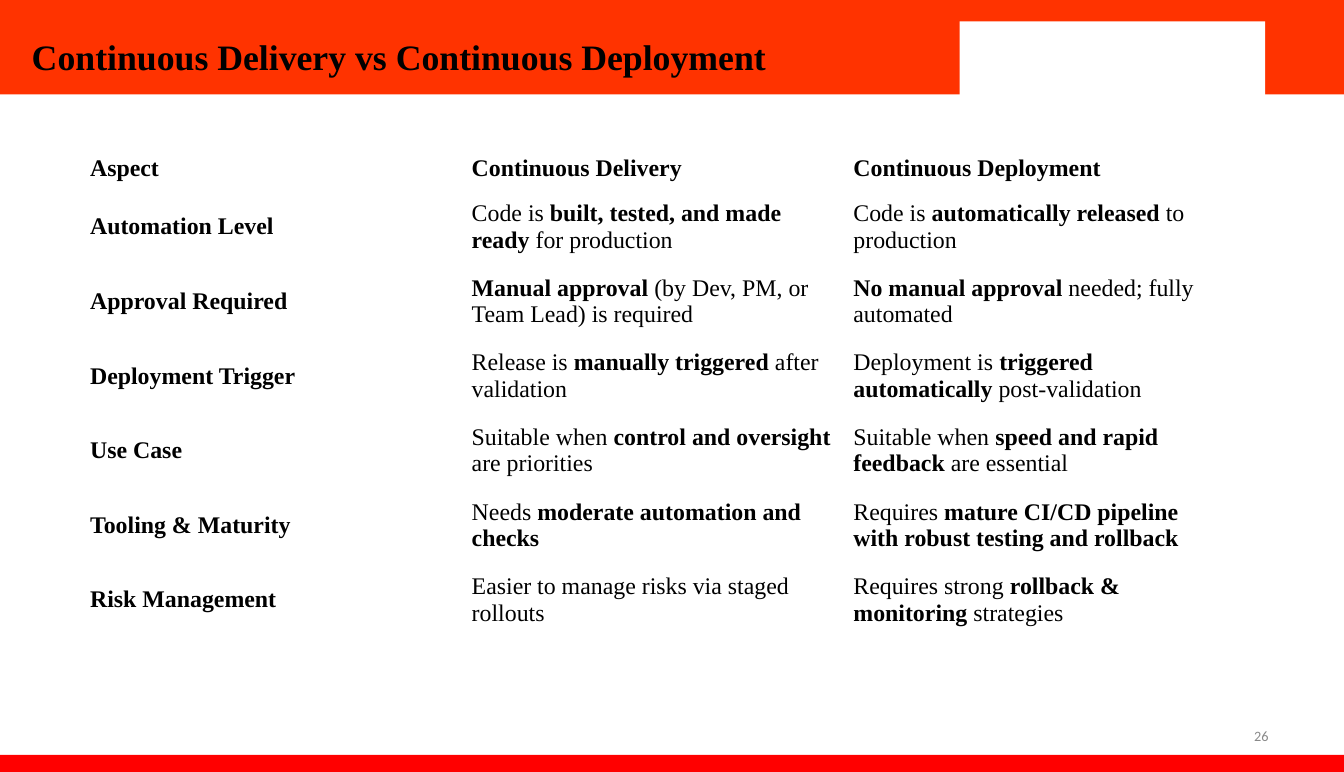
from pptx import Presentation
from pptx import util as u
from pptx.dml.color import RGBColor
from pptx.enum import shapes, text

SCALE = 9144
ROWS = [
    ("**Aspect**", "**Continuous Delivery**", "**Continuous Deployment**"),
    ("**Automation Level**",
     "Code is **built, tested, and made ready** for production",
     "Code is **automatically released** to production"),
    ("**Approval Required**",
     "**Manual approval** (by Dev, PM, or Team Lead) is required",
     "**No manual approval** needed; fully automated"),
    ("**Deployment Trigger**",
     "Release is **manually triggered** after validation",
     "Deployment is **triggered automatically** post-validation"),
    ("**Use Case**",
     "Suitable when **control and oversight** are priorities",
     "Suitable when **speed and rapid feedback** are essential"),
    ("**Tooling & Maturity**",
     "Needs **moderate automation and checks**",
     "Requires **mature CI/CD pipeline with robust testing and rollback**"),
    ("**Risk Management**",
     "Easier to manage risks via staged rollouts",
     "Requires strong **rollback & monitoring** strategies"),
]


def px(*sizes):
    return [u.Emu(size * SCALE) for size in sizes]


def color(code):
    return RGBColor.from_string(code)


class Deck:
    """Hold the style and the current slide, and draw each kind of element."""

    serif, sans = "Times New Roman", "Calibri"
    ink, gray, white = "000000", "898989", "FFFFFF"
    orange, red = "FF3300", "FF0000"

    def __init__(self, wide, high):
        self.prs = Presentation()
        self.prs.slide_width, self.prs.slide_height = px(wide, high)
        self.slide = self.prs.slides.add_slide(self.prs.slide_layouts[5])

    def font(self, para, name, size, ink):
        font = para.font
        font.name, font.size = name, u.Pt(size)
        font.color.rgb = color(ink)
        return font

    def bar(self, box, fill):
        bar = self.slide.shapes.add_shape(shapes.MSO_SHAPE.RECTANGLE, *px(*box))
        bar.shadow.inherit = False
        bar.fill.solid()
        bar.fill.fore_color.rgb = color(fill)
        bar.line.fill.background()

    def title(self, box, words):
        title = self.slide.shapes.title
        title.left, title.top, title.width, title.height = px(*box)
        self.slide.shapes.element.append(title.element)
        frame = title.text_frame
        frame.text = words
        frame.word_wrap = True
        frame.auto_size = text.MSO_AUTO_SIZE.SHAPE_TO_FIT_TEXT
        frame.vertical_anchor = text.MSO_ANCHOR.TOP
        para = frame.paragraphs[0]
        para.alignment = text.PP_ALIGN.LEFT
        self.font(para, self.serif, 30, self.ink).bold = True

    def number(self, box, words):
        frame = self.slide.shapes.add_textbox(*px(*box)).text_frame
        frame.text = words
        frame.word_wrap = True
        frame.vertical_anchor = text.MSO_ANCHOR.MIDDLE
        para = frame.paragraphs[0]
        para.alignment = text.PP_ALIGN.RIGHT
        self.font(para, self.sans, 12, self.gray)

    def cell(self, cell, words):
        cell.fill.background()
        cell.vertical_anchor = text.MSO_ANCHOR.MIDDLE
        para = cell.text_frame.paragraphs[0]
        self.font(para, self.serif, 20, self.ink)
        for i, part in enumerate(words.split("**")):
            if part:
                run = para.add_run()
                run.text = part
                run.font.bold = i % 2 == 1

    def table(self, box, head, rows):
        left, top, wide, high = box
        size = len(rows), len(rows[0])
        grid = self.slide.shapes.add_table(*size, *px(left, top, wide, high)).table
        grid.first_row = grid.horz_banding = False
        step = (high - head) // (len(rows) - 1)
        for r, row in enumerate(rows):
            grid.rows[r].height = px(step if r else head)[0]
            for c, words in enumerate(row):
                self.cell(grid.cell(r, c), words)


def main():
    deck = Deck(1567, 900)
    deck.bar((0, 0, 1567, 110), deck.orange)
    deck.bar((0, 880, 1567, 26), deck.red)
    deck.bar((1119, 25, 356, 90), deck.white)
    deck.number((1123, 834, 366, 48), "26")
    deck.table((95, 172, 1335, 571), 49, ROWS)
    deck.title((27, 35, 931, 61), "Continuous Delivery vs Continuous Deployment")
    deck.prs.save("out.pptx")


if __name__ == "__main__":
    main()
